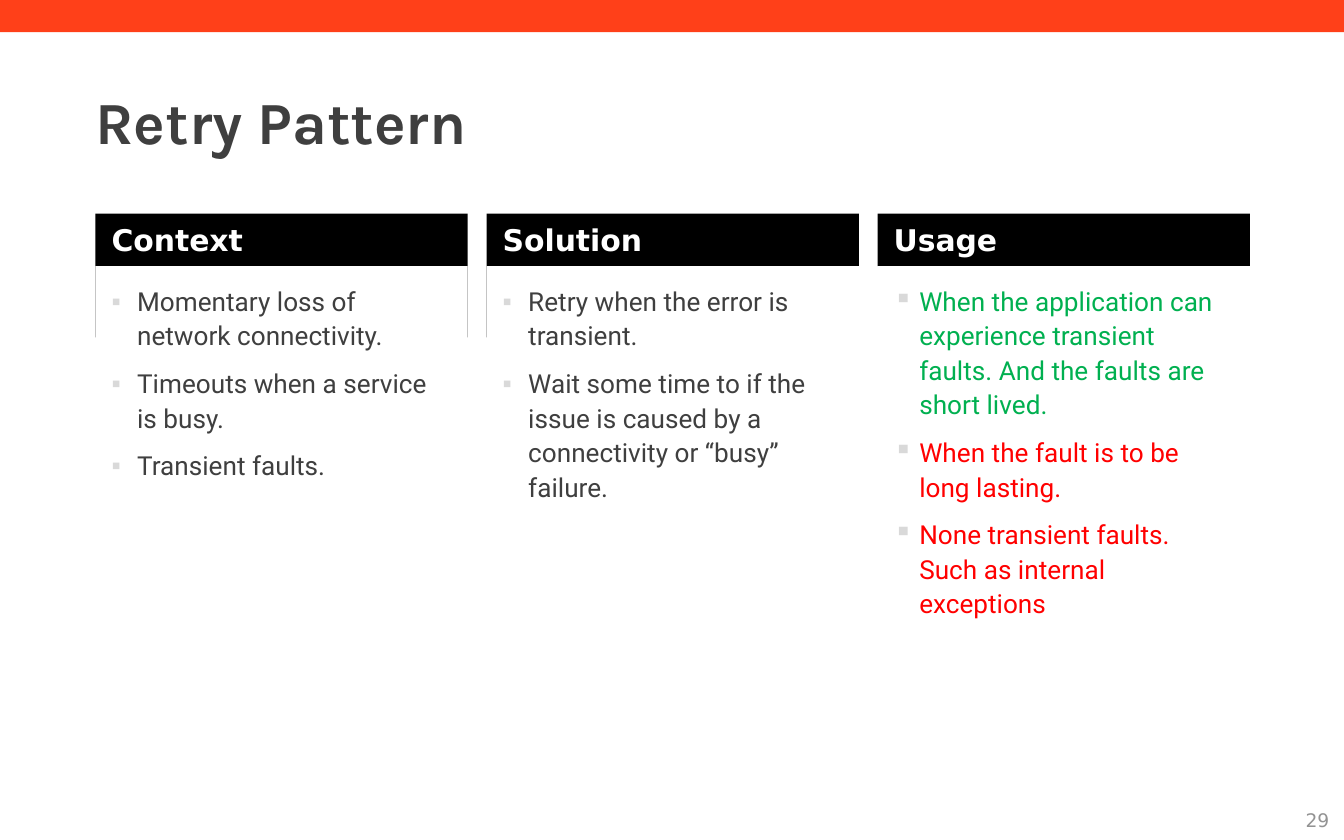
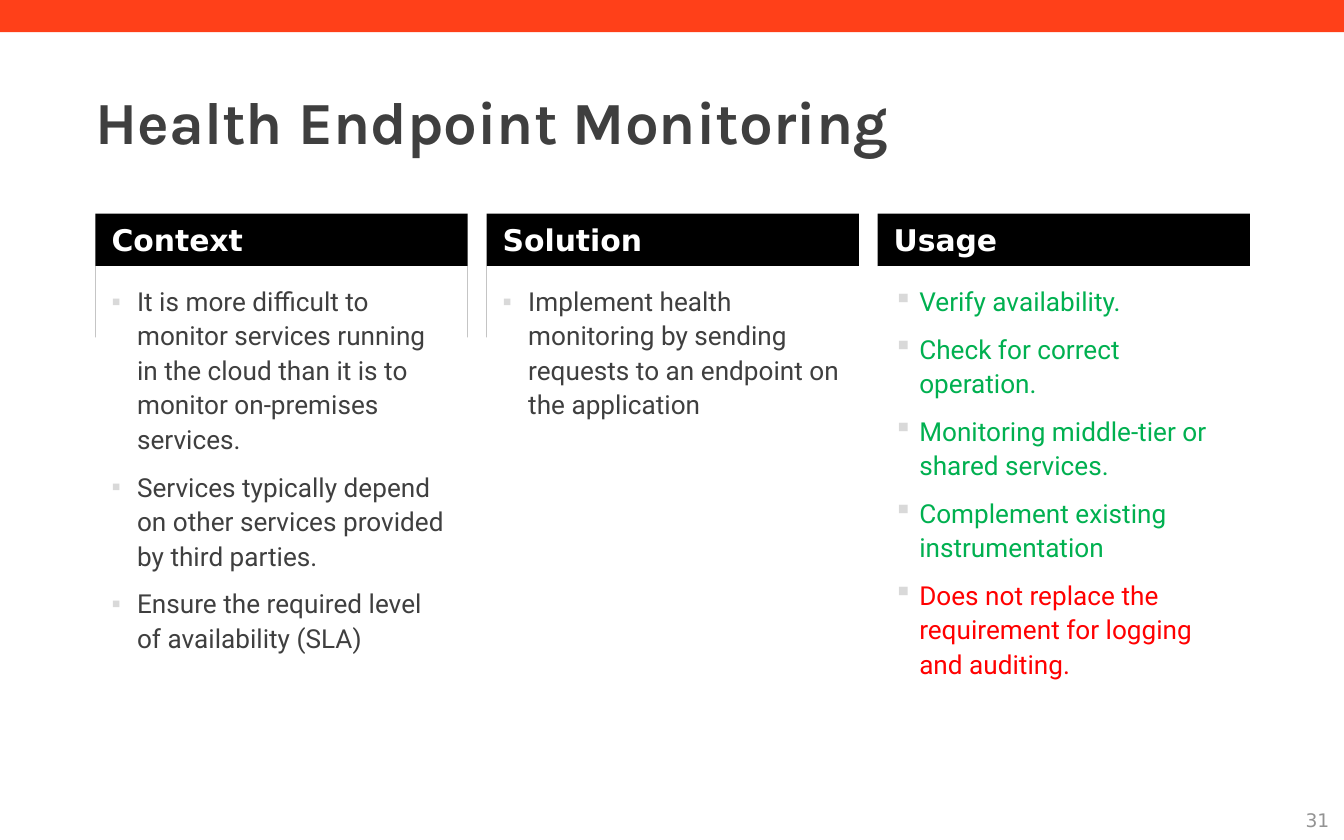
from dataclasses import dataclass

from lxml.etree import SubElement
from pptx import Presentation
from pptx.dml.color import RGBColor
from pptx.enum.shapes import MSO_SHAPE
from pptx.enum.text import MSO_ANCHOR, MSO_AUTO_SIZE as AutoSize, PP_ALIGN
from pptx.oxml.ns import qn
from pptx.util import Inches, Pt

ORANGE = RGBColor(0xFF, 0x40, 0x19)
BLACK = RGBColor(0x00, 0x00, 0x00)
WHITE = RGBColor(0xFF, 0xFF, 0xFF)
CHARCOAL = RGBColor(0x3F, 0x3F, 0x3F)
GREY = RGBColor(0x93, 0x93, 0x93)
BULLET_GREY = RGBColor(0xD9, 0xD9, 0xD9)
GREEN = RGBColor(0x00, 0xB0, 0x50)
RED = RGBColor(0xFF, 0x00, 0x00)

WIDTH, HEIGHT = 10, 6.25
COLUMN_COUNT, GUTTER = 3, 0.14
HEADING_HEIGHT = 0.39
INDENT = Inches(0.19)
COMPARISON_LAYOUT = 4
COLUMN_PLACEHOLDERS = [(1, 2), (3, 4)]


@dataclass
class Box:
    """A rectangle measured in inches."""
    left: float
    top: float
    width: float
    height: float

    def lengths(self):
        """Return the four sides as slide lengths."""
        return [Inches(side) for side in (self.left, self.top, self.width, self.height)]

    def column(self, index):
        """Return one of the equal columns of the box."""
        width = (self.width - GUTTER * (COLUMN_COUNT - 1)) / COLUMN_COUNT
        return Box(self.left + index * (width + GUTTER), self.top, width, self.height)

    def split(self, height):
        """Cut the box into an upper part of the given height and the rest."""
        upper = Box(self.left, self.top, self.width, height)
        lower = Box(self.left, self.top + height, self.width, self.height - height)
        return upper, lower


BAND = Box(0, 0, WIDTH, 0.24)
TITLE = Box(0.71, 0.63, 7.48, 0.54)
CONTENT = Box(0.71, 1.59, 8.59, 4.02)
PAGE_NUMBER = Box(7.17, 5.96, 2.72, 0.29)

SLIDES = [
    ("Retry Pattern", "29", [
        ("Context", [
            ("Momentary loss of network connectivity.", CHARCOAL),
            ("Timeouts when a service is busy.", CHARCOAL),
            ("Transient faults.", CHARCOAL),
        ]),
        ("Solution", [
            ("Retry when the error is transient.", CHARCOAL),
            ("Wait some time to if the issue is caused by a connectivity or “busy” failure.",
             CHARCOAL),
        ]),
        ("Usage", [
            ("When the application can experience transient faults. "
             "And the faults are short lived.", GREEN),
            ("When the fault is to be long lasting.", RED),
            ("None transient faults. Such as internal exceptions", RED),
        ]),
    ]),
    ("Health Endpoint Monitoring", "31", [
        ("Context", [
            ("It is more difficult to monitor services running in the cloud "
             "than it is to monitor on-premises services.", CHARCOAL),
            ("Services typically depend on other services provided by third parties.", CHARCOAL),
            ("Ensure the required level of availability (SLA)", CHARCOAL),
        ]),
        ("Solution", [
            ("Implement health monitoring by sending requests to an endpoint on the application",
             CHARCOAL),
        ]),
        ("Usage", [
            ("Verify availability.", GREEN),
            ("Check for correct operation.", GREEN),
            ("Monitoring middle-tier or shared services.", GREEN),
            ("Complement existing instrumentation", GREEN),
            ("Does not replace the requirement for logging and auditing.", RED),
        ]),
    ]),
]


def fill_shape(shape, color):
    """Give a shape a plain fill."""
    shape.fill.solid()
    shape.fill.fore_color.rgb = color


def prepare_frame(shape, box, inset=(0, 0), anchor=MSO_ANCHOR.TOP, auto_size=AutoSize.NONE):
    """Place a text shape and return its frame, set up for text."""
    shape.left, shape.top, shape.width, shape.height = box.lengths()
    frame = shape.text_frame
    frame.word_wrap = True
    frame.auto_size = auto_size
    frame.vertical_anchor = anchor
    frame.margin_left = frame.margin_right = Inches(inset[0])
    frame.margin_top = frame.margin_bottom = Inches(inset[1])
    return frame


def add_run(paragraph, text, font_name, size, color, bold=False):
    """Add one formatted run to a paragraph."""
    run = paragraph.add_run()
    run.text = text
    run.font.name = font_name
    run.font.size = Pt(size)
    run.font.color.rgb = color
    run.font.bold = bold


def add_line(frame, text, font_name, size, color, bold=False, align=PP_ALIGN.LEFT):
    """Write a single line into the first paragraph of a frame."""
    paragraph = frame.paragraphs[0]
    paragraph.alignment = align
    paragraph.space_before = Pt(0)
    add_run(paragraph, text, font_name, size, color, bold)


def set_bullet(paragraph):
    """Give a paragraph a hanging grey square bullet."""
    properties = paragraph._p.get_or_add_pPr()
    properties.set("marL", str(INDENT))
    properties.set("indent", str(-INDENT))
    color = SubElement(properties, qn("a:buClr"))
    SubElement(color, qn("a:srgbClr")).set("val", str(BULLET_GREY))
    SubElement(properties, qn("a:buChar")).set("char", "▪")


def write_list(frame, items):
    """Write bulleted items, each in its own color."""
    for index, (text, color) in enumerate(items):
        paragraph = frame.add_paragraph() if index else frame.paragraphs[0]
        set_bullet(paragraph)
        paragraph.line_spacing = 1.1
        paragraph.space_before = Pt(3 if index else 0)
        paragraph.space_after = Pt(4)
        add_run(paragraph, text, "Roboto", 14, color)


def column_shapes(slide, index, boxes):
    """Return the heading and list shapes of a column, adding boxes past the placeholders."""
    if index < len(COLUMN_PLACEHOLDERS):
        return [slide.placeholders[number] for number in COLUMN_PLACEHOLDERS[index]]
    return [slide.shapes.add_textbox(*box.lengths()) for box in boxes]


def build_column(slide, index, box, heading, items):
    """Fill one column with a black heading above a bulleted list."""
    boxes = box.split(HEADING_HEIGHT)
    heading_shape, list_shape = column_shapes(slide, index, boxes)
    fill_shape(heading_shape, BLACK)
    fill_shape(list_shape, WHITE)
    frame = prepare_frame(heading_shape, boxes[0], (0.12, 0.06),
                          auto_size=AutoSize.SHAPE_TO_FIT_TEXT)
    add_line(frame, heading, "DejaVu Sans", 16, WHITE, bold=True)
    write_list(prepare_frame(list_shape, boxes[1], (0.12, 0.12)), items)


def build_frame(slide, title, page_number):
    """Add the band, title and page number that every slide has."""
    band = slide.shapes.add_shape(MSO_SHAPE.RECTANGLE, *BAND.lengths())
    band.shadow.inherit = False
    fill_shape(band, ORANGE)
    band.line.fill.background()
    title_frame = prepare_frame(slide.shapes.title, TITLE, auto_size=AutoSize.SHAPE_TO_FIT_TEXT)
    add_line(title_frame, title, "Karla", 32, CHARCOAL, bold=True)
    number_shape = slide.shapes.add_textbox(*PAGE_NUMBER.lengths())
    number_frame = prepare_frame(number_shape, PAGE_NUMBER, anchor=MSO_ANCHOR.MIDDLE)
    add_line(number_frame, page_number, "DejaVu Sans", 10, GREY, align=PP_ALIGN.RIGHT)


def build_pattern_slide(presentation, title, page_number, columns):
    """Add a slide that explains a pattern in three columns."""
    slide = presentation.slides.add_slide(presentation.slide_layouts[COMPARISON_LAYOUT])
    build_frame(slide, title, page_number)
    for index, (heading, items) in enumerate(columns):
        build_column(slide, index, CONTENT.column(index), heading, items)


def main():
    """Build and save the presentation."""
    presentation = Presentation()
    presentation.slide_width = Inches(WIDTH)
    presentation.slide_height = Inches(HEIGHT)
    for title, page_number, columns in SLIDES:
        build_pattern_slide(presentation, title, page_number, columns)
    presentation.save("out.pptx")


if __name__ == "__main__":
    main()
